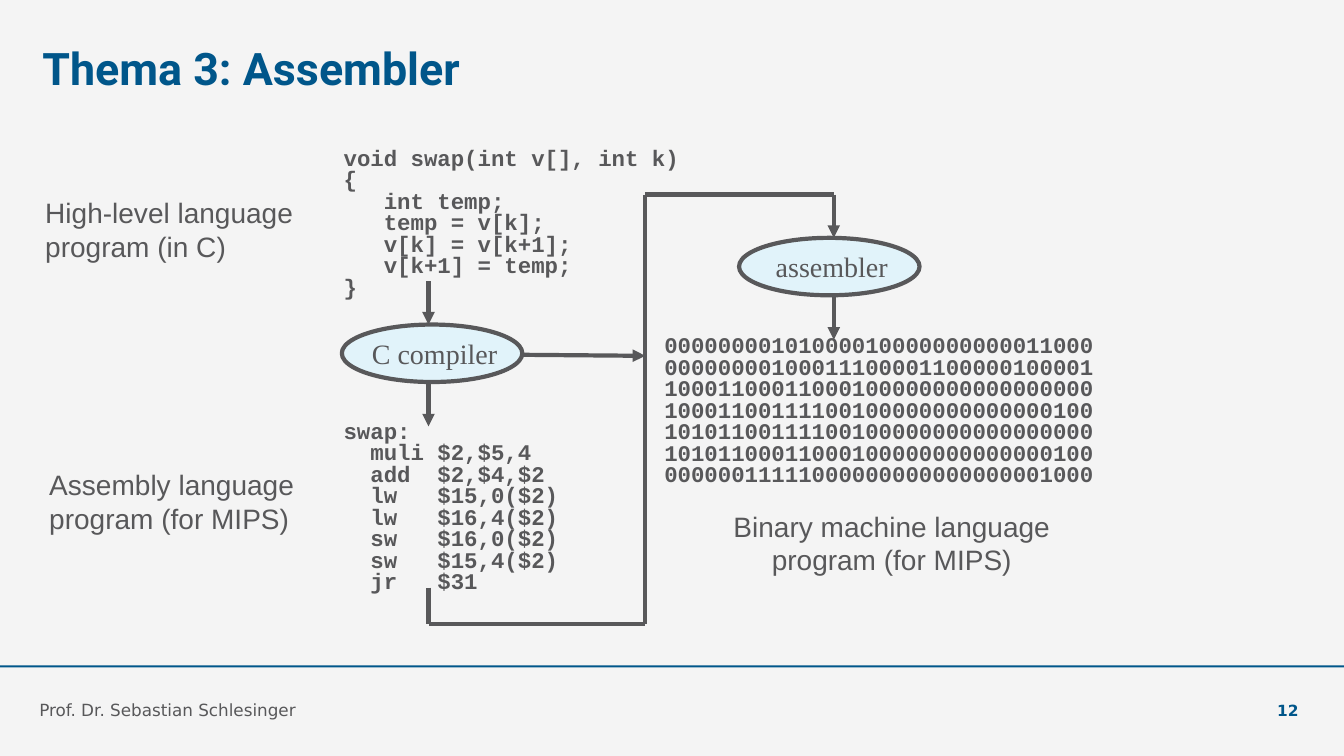
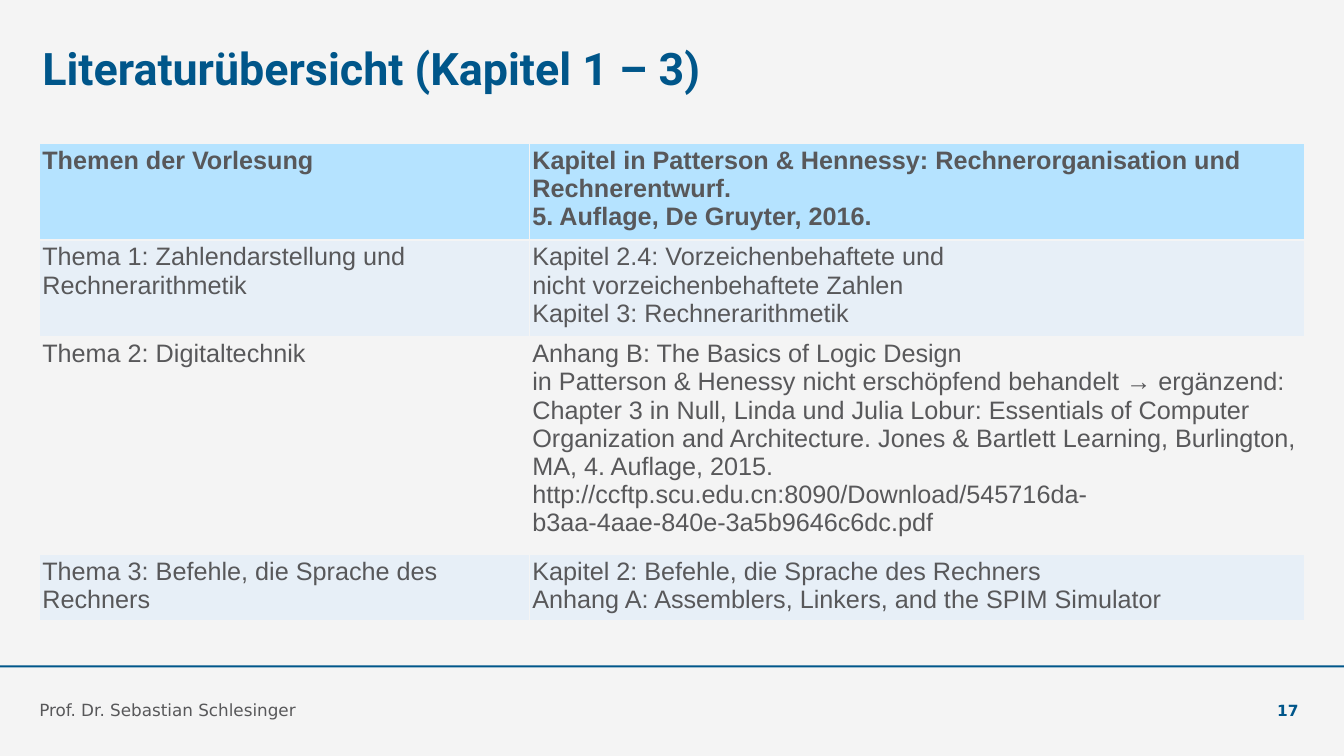
from lxml import etree
from pptx import Presentation
from pptx.dml.color import RGBColor
from pptx.enum import shapes as sh, text as tx
from pptx.oxml.ns import qn
from pptx.util import Inches, Pt

BLUE = RGBColor(0x00, 0x56, 0x8A)
GREY = RGBColor(0x58, 0x58, 0x5A)
PAPER = RGBColor(0xF4, 0xF4, 0xF4)
PALE = RGBColor(0xE1, 0xF3, 0xFA)
SKY = RGBColor(0xB5, 0xE3, 0xFF)
MIST = RGBColor(0xE7, 0xEF, 0xF7)

TOP, MID, LOW = tx.MSO_ANCHOR.TOP, tx.MSO_ANCHOR.MIDDLE, tx.MSO_ANCHOR.BOTTOM
LEFT, CENTER, RIGHT = tx.PP_ALIGN.LEFT, tx.PP_ALIGN.CENTER, tx.PP_ALIGN.RIGHT

# Text formats
TITLE = dict(name="Roboto", size=Pt(32), bold=True, color=BLUE)
FOOT = dict(name="DejaVu Sans", size=Pt(12), bold=False, color=GREY)
PAGE = dict(name="DejaVu Sans", size=Pt(11), bold=True, color=BLUE)
NOTE = dict(name="Arial", size=Pt(20), bold=False, color=GREY)
CODE = dict(name="Courier New", size=Pt(16), bold=True, color=GREY)
TOOL = dict(name="Times New Roman", size=Pt(20), bold=False, color=GREY)
BODY = dict(name="Arial", size=Pt(18), bold=False, color=GREY)
HEAD = dict(BODY, bold=True)

AUTHOR = "Prof. Dr. Sebastian Schlesinger"

C_CODE = """void swap(int v[], int k)
{
   int temp;
   temp = v[k];
   v[k] = v[k+1];
   v[k+1] = temp;
}"""

ASM_CODE = """swap:
  muli $2,$5,4
  add  $2,$4,$2
  lw   $15,0($2)
  lw   $16,4($2)
  sw   $16,0($2)
  sw   $15,4($2)
  jr   $31"""

BINARY = """00000000101000010000000000011000
00000000100011100001100000100001
10001100011000100000000000000000
10001100111100100000000000000100
10101100111100100000000000000000
10101100011000100000000000000100
00000011111000000000000000001000"""

# \v breaks a line inside a paragraph
BOOKS = [
    ("Themen der Vorlesung",
     "Kapitel in Patterson & Hennessy: Rechnerorganisation und "
     "Rechnerentwurf.\v5. Auflage, De Gruyter, 2016."),
    ("Thema 1: Zahlendarstellung und Rechnerarithmetik",
     "Kapitel 2.4: Vorzeichenbehaftete und\n"
     "nicht vorzeichenbehaftete Zahlen\vKapitel 3: Rechnerarithmetik"),
    ("Thema 2: Digitaltechnik",
     "Anhang B: The Basics of Logic Design\v"
     "in Patterson & Henessy nicht erschöpfend behandelt → ergänzend: "
     "Chapter 3 in Null, Linda und Julia Lobur: Essentials of Computer "
     "Organization and Architecture. Jones & Bartlett Learning, "
     "Burlington, MA, 4. Auflage, 2015.\n"
     "http://ccftp.scu.edu.cn:8090/Download/"
     "545716da-b3aa-4aae-840e-3a5b9646c6dc.pdf"),
    ("Thema 3: Befehle, die Sprache des Rechners",
     "Kapitel 2: Befehle, die Sprache des Rechners\v"
     "Anhang A: Assemblers, Linkers, and the SPIM Simulator"),
]


def inches(*sizes):
    return [Inches(s) for s in sizes]


def write(frame, text, style, align=LEFT, space=None):
    """Fill a text frame and format each paragraph."""
    frame.text = text
    for para in frame.paragraphs:
        para.alignment = align
        if space:
            para.line_spacing = space
        for key, val in style.items():
            if key == "color":
                para.font.color.rgb = val
            else:
                setattr(para.font, key, val)


def fit(frame, anchor, wrap=True, pad=None):
    """Set anchor, wrapping and equal insets."""
    frame.vertical_anchor, frame.word_wrap = anchor, wrap
    if pad is not None:
        for side in ("left", "top", "right", "bottom"):
            setattr(frame, "margin_" + side, Inches(pad))


def label(slide, box, text, style, anchor=MID, align=LEFT, pad=None):
    frame = slide.shapes.add_textbox(*inches(*box)).text_frame
    fit(frame, anchor, True, pad)
    write(frame, text, style, align)


def listing(slide, box, text):
    frame = slide.shapes.add_textbox(*inches(*box)).text_frame
    fit(frame, MID, False)
    write(frame, text, CODE, space=0.8)


def oval(slide, x, y, text):
    """Draw one translation tool."""
    tool = slide.shapes.add_shape(sh.MSO_SHAPE.OVAL, *inches(x, y, 1.79, 0.57))
    tool.shadow.inherit = False
    tool.fill.solid()
    tool.fill.fore_color.rgb = PALE
    tool.line.color.rgb = GREY
    tool.line.width = Pt(3)
    fit(tool.text_frame, MID, False, 0)
    tool.text_frame.margin_left = Inches(0.05)
    write(tool.text_frame, text, TOOL, CENTER)


def route(slide, *points, arrow=True):
    """Join points by straight lines; the last one carries the arrowhead."""
    for start, end in zip(points, points[1:]):
        line = slide.shapes.add_connector(
            sh.MSO_CONNECTOR.STRAIGHT, *inches(*start, *end))
        line.line.color.rgb = GREY
        line.line.width = Pt(3)
        props = line.element.spPr
        if arrow and end == points[-1]:
            etree.SubElement(props.find(qn("a:ln")), qn("a:tailEnd"),
                             type="triangle")
        etree.SubElement(props, qn("a:effectLst"))


def border(cell):
    """Outline a cell in the paper colour."""
    props = cell._tc.get_or_add_tcPr()
    for side in ("lnL", "lnR", "lnT", "lnB"):
        edge = etree.SubElement(props, qn("a:" + side), w=str(Pt(1)))
        fill = etree.SubElement(edge, qn("a:solidFill"))
        etree.SubElement(fill, qn("a:srgbClr"), val=str(PAPER))


def base(deck, title, page):
    """Start a slide with title, rule and footer."""
    slide = deck.slides.add_slide(deck.slide_layouts[5])
    rule = slide.shapes.add_shape(
        sh.MSO_SHAPE.RECTANGLE, *inches(0, 6.6, 13.33, 0.02))
    rule.shadow.inherit = False
    rule.fill.solid()
    rule.fill.fore_color.rgb = BLUE
    rule.line.fill.background()
    head = slide.shapes.title
    head.left, head.top, head.width, head.height = inches(0.42, 0.4, 8.33, 0.63)
    fit(head.text_frame, TOP, True, 0)
    write(head.text_frame, title, TITLE)
    label(slide, (0.39, 6.75, 9.2, 0.39), AUTHOR, FOOT, LOW, pad=0)
    label(slide, (12.03, 6.75, 0.85, 0.39), str(page), PAGE, LOW, RIGHT, 0)
    return slide


def source(slide, x, y):
    """C program, compiler and assembly program."""
    label(slide, (x, y + 0.47, 3.01, 0.77),
          "High-level language\nprogram (in C)", NOTE)
    listing(slide, (x + 2.96, y, 3.58, 1.61), C_CODE)
    oval(slide, x + 3.04, y + 1.8, "C compiler")
    label(slide, (x + 0.04, y + 3.17, 3, 0.77),
          "Assembly language\nprogram (for MIPS)", NOTE)
    listing(slide, (x + 2.96, y + 2.71, 2.36, 1.82), ASM_CODE)
    axis = x + 3.9
    for top in (1.37, 2.38):
        route(slide, (axis, y + top), (axis, y + top + 0.43))


def target(slide, x, y):
    """Assembler and machine program."""
    oval(slide, x + 0.84, y, "assembler")
    listing(slide, (x, y + 0.92, 4.52, 1.61), BINARY)
    label(slide, (x + 0.26, y + 2.64, 4.19, 0.77),
          "Binary machine language program (for MIPS)", NOTE, align=CENTER)
    route(slide, (x + 1.78, y + 0.58), (x + 1.78, y + 1.01))


def books(slide, x, y):
    """Reading list by topic."""
    widths, heights = (4.86, 7.69), (0.89, 0.89, 2.02, 0.6)
    grid = slide.shapes.add_table(
        len(heights), len(widths),
        *inches(x, y, sum(widths), sum(heights))).table
    grid.first_row = grid.horz_banding = False
    for col, width in zip(grid.columns, widths):
        col.width = Inches(width)
    for i, (row, height) in enumerate(zip(grid.rows, heights)):
        row.height = Inches(height)
        fill = SKY if i == 0 else MIST if i % 2 else PAPER
        for cell, text in zip(row.cells, BOOKS[i]):
            border(cell)
            cell.fill.solid()
            cell.fill.fore_color.rgb = fill
            for side in ("left", "top", "right", "bottom"):
                setattr(cell, "margin_" + side, Inches(0.03))
            write(cell.text_frame, text, BODY if i else HEAD)


def main():
    deck = Presentation()
    deck.slide_width, deck.slide_height = inches(13.33, 7.5)
    back = deck.slide_master.background.fill
    back.solid()
    back.fore_color.rgb = PAPER

    # From C to machine code
    slide = base(deck, "Thema 3: Assembler", 12)
    source(slide, 0.35, 1.42)
    target(slide, 6.49, 2.36)
    route(slide, (4.25, 5.83), (4.25, 6.19), (6.4, 6.19), (6.4, 1.93),
          (8.27, 1.93), (8.27, 2.36))
    route(slide, (5.17, 3.52), (6.4, 3.53))

    # Literature
    slide = base(deck, "Literaturübersicht (Kapitel 1 – 3)", 17)
    books(slide, 0.39, 1.42)
    deck.save("out.pptx")


if __name__ == "__main__":
    main()
